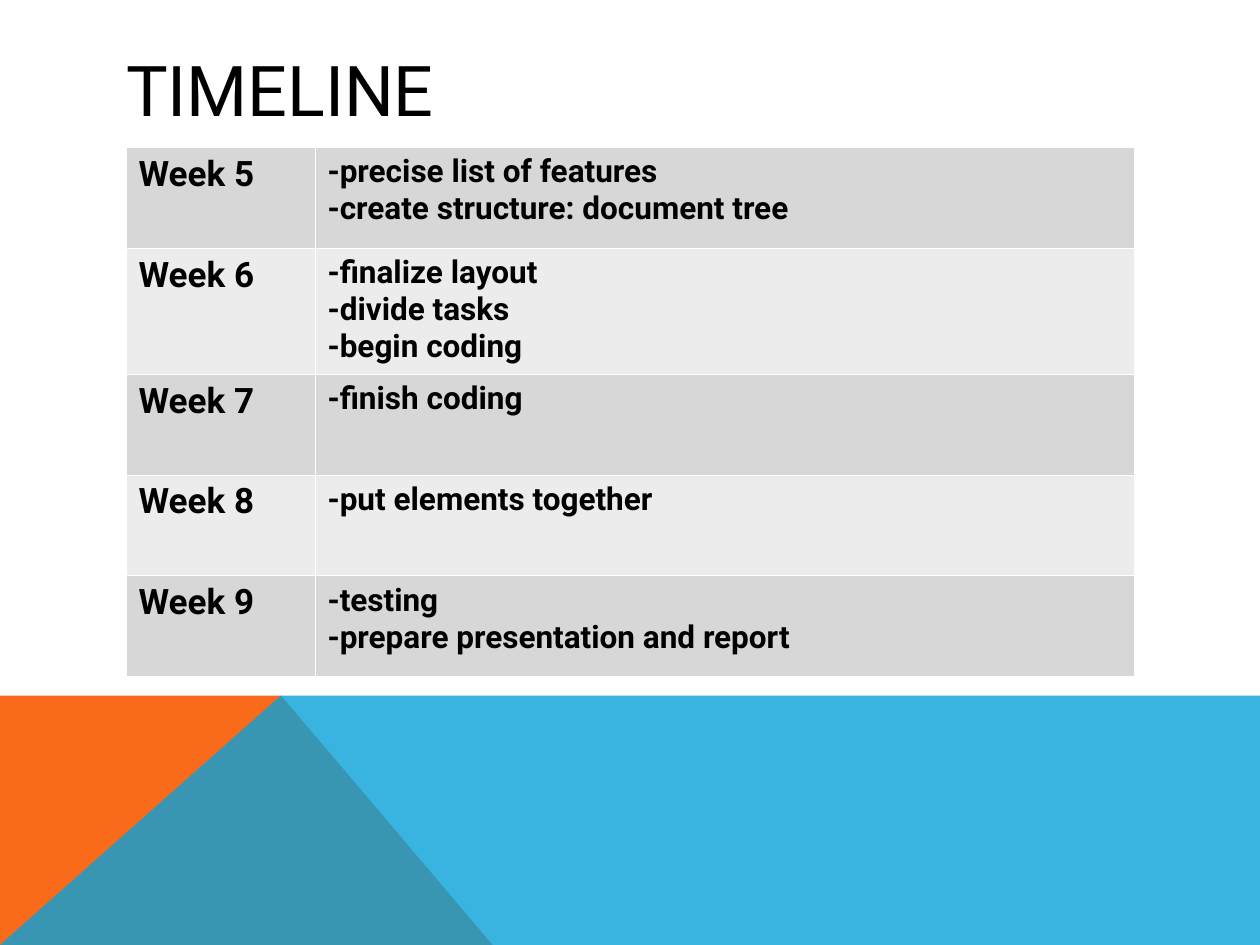
from dataclasses import dataclass

from lxml import etree
from pptx import Presentation
from pptx.dml.color import RGBColor
from pptx.enum.text import MSO_ANCHOR, MSO_AUTO_SIZE, PP_ALIGN
from pptx.oxml.ns import qn
from pptx.util import Inches, Pt

MIDDLE = MSO_ANCHOR.MIDDLE
NO_FIT = MSO_AUTO_SIZE.NONE
LEFT = PP_ALIGN.LEFT


@dataclass(frozen=True)
class Theme:
    font: str = "Roboto"
    text: str = "000000"
    border: str = "FFFFFF"
    bands: tuple = ("D7D7D8", "ECECEC")
    orange: str = "F96A1B"
    blue: str = "08A1D9"
    blue_opacity: int = 80
    title_size: int = 40
    week_size: int = 20
    task_size: int = 18
    border_width: float = 0.45


theme = Theme()


def format_text(frame, size, bold):
    for paragraph in frame.paragraphs:
        paragraph.alignment = LEFT
        for run in paragraph.runs:
            run.font.name = theme.font
            run.font.size = Pt(size)
            run.font.bold = bold
            run.font.color.rgb = RGBColor.from_string(theme.text)


def add_border(cell):
    properties = cell._tc.get_or_add_tcPr()
    for position, side in enumerate(("lnL", "lnR", "lnT", "lnB")):
        line = etree.Element(qn(f"a:{side}"), w=str(Pt(theme.border_width)))
        fill = etree.SubElement(line, qn("a:solidFill"))
        etree.SubElement(fill, qn("a:srgbClr"), val=theme.border)
        properties.insert(position, line)


presentation = Presentation()
presentation.slide_width = Inches(10)
presentation.slide_height = Inches(7.5)
slide = presentation.slides.add_slide(presentation.slide_layouts[5])

footer_bands = [
    (theme.orange, 100, [(0, 7.5), (0, 5.52), (2.23, 5.52), (3.91, 7.5)]),
    (theme.blue, theme.blue_opacity, [(0, 7.5), (2.23, 5.52), (10, 5.52), (10, 7.5)]),
]
for color, opacity, corners in footer_bands:
    points = [(Inches(x), Inches(y)) for x, y in corners]
    builder = slide.shapes.build_freeform(*points[0])
    builder.add_line_segments(points[1:], close=True)
    band = builder.convert_to_shape()
    band.shadow.inherit = False
    band.line.fill.background()
    band.fill.solid()
    band.fill.fore_color.rgb = RGBColor.from_string(color)
    if opacity < 100:
        band_color = band._element.spPr.find(qn("a:solidFill")).find(qn("a:srgbClr"))
        etree.SubElement(band_color, qn("a:alpha"), val=str(opacity * 1000))

title = slide.shapes.title
title.left, title.top = Inches(0.9), Inches(0.4)
title.width, title.height = Inches(8.23), Inches(0.6)
title.text_frame.text = "TIMELINE"
title.text_frame.auto_size = NO_FIT
title.text_frame.vertical_anchor = MIDDLE
format_text(title.text_frame, theme.title_size, False)

first_week = 5
weekly_tasks = [
    ["-precise list of features", "-create structure: document tree"],
    ["-finalize layout", "-divide tasks", "-begin coding"],
    ["-finish coding"],
    ["-put elements together"],
    ["-testing", "-prepare presentation and report"],
]
timeline = slide.shapes.add_table(
    len(weekly_tasks), 2, Inches(1), Inches(1.17), Inches(8), Inches(4.2)
).table
timeline.first_row = False
timeline.horz_banding = False
timeline.columns[0].width = Inches(1.5)
timeline.columns[1].width = Inches(6.5)

for index, tasks in enumerate(weekly_tasks):
    timeline.rows[index].height = Inches(1 if len(tasks) > 2 else 0.8)
    entries = [
        (f"Week {first_week + index}", theme.week_size),
        ("\n".join(tasks), theme.task_size),
    ]
    for column, (text, size) in enumerate(entries):
        cell = timeline.cell(index, column)
        cell.text_frame.text = text
        format_text(cell.text_frame, size, True)
        cell.fill.solid()
        cell.fill.fore_color.rgb = RGBColor.from_string(theme.bands[index % 2])
        add_border(cell)

presentation.save("out.pptx")
